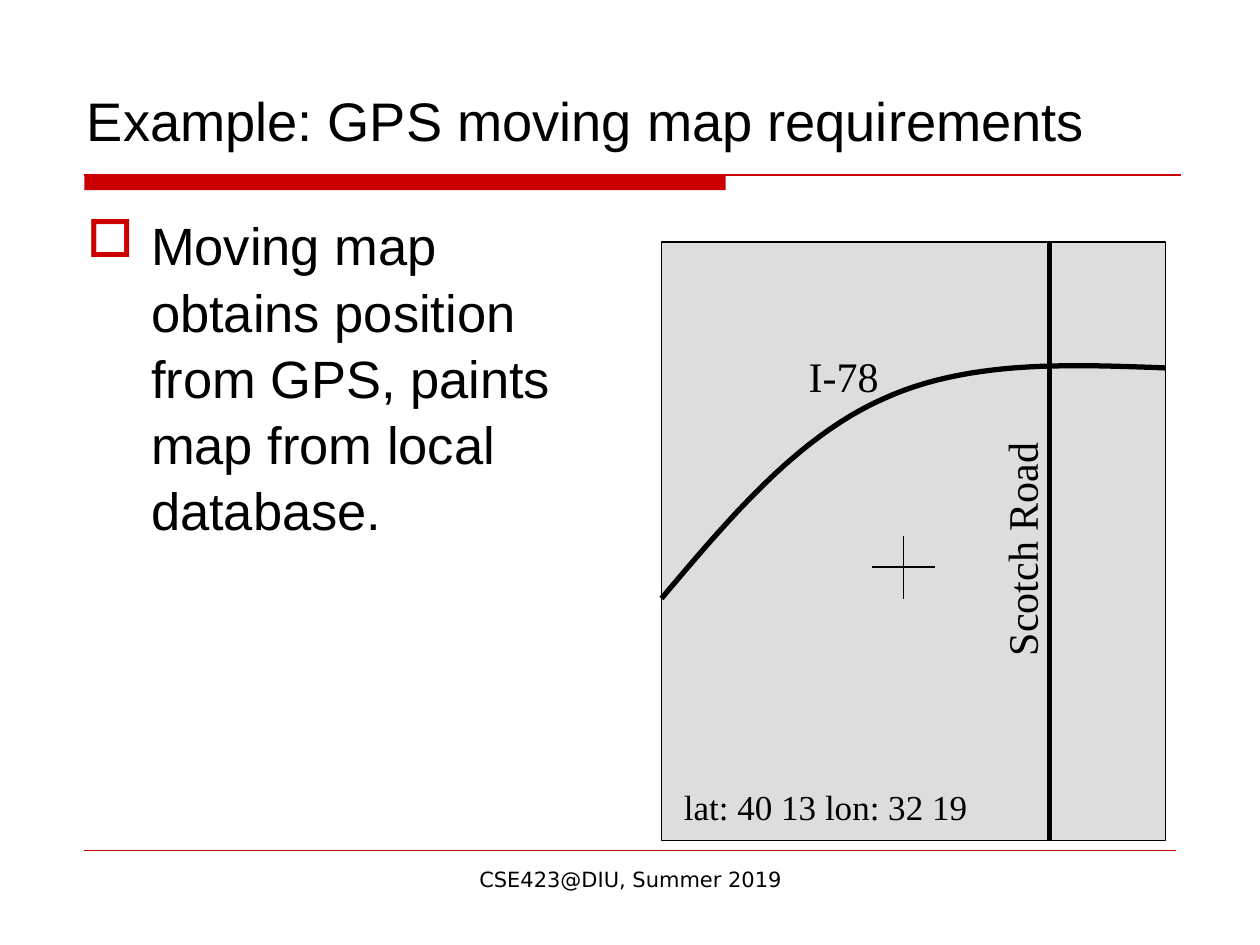
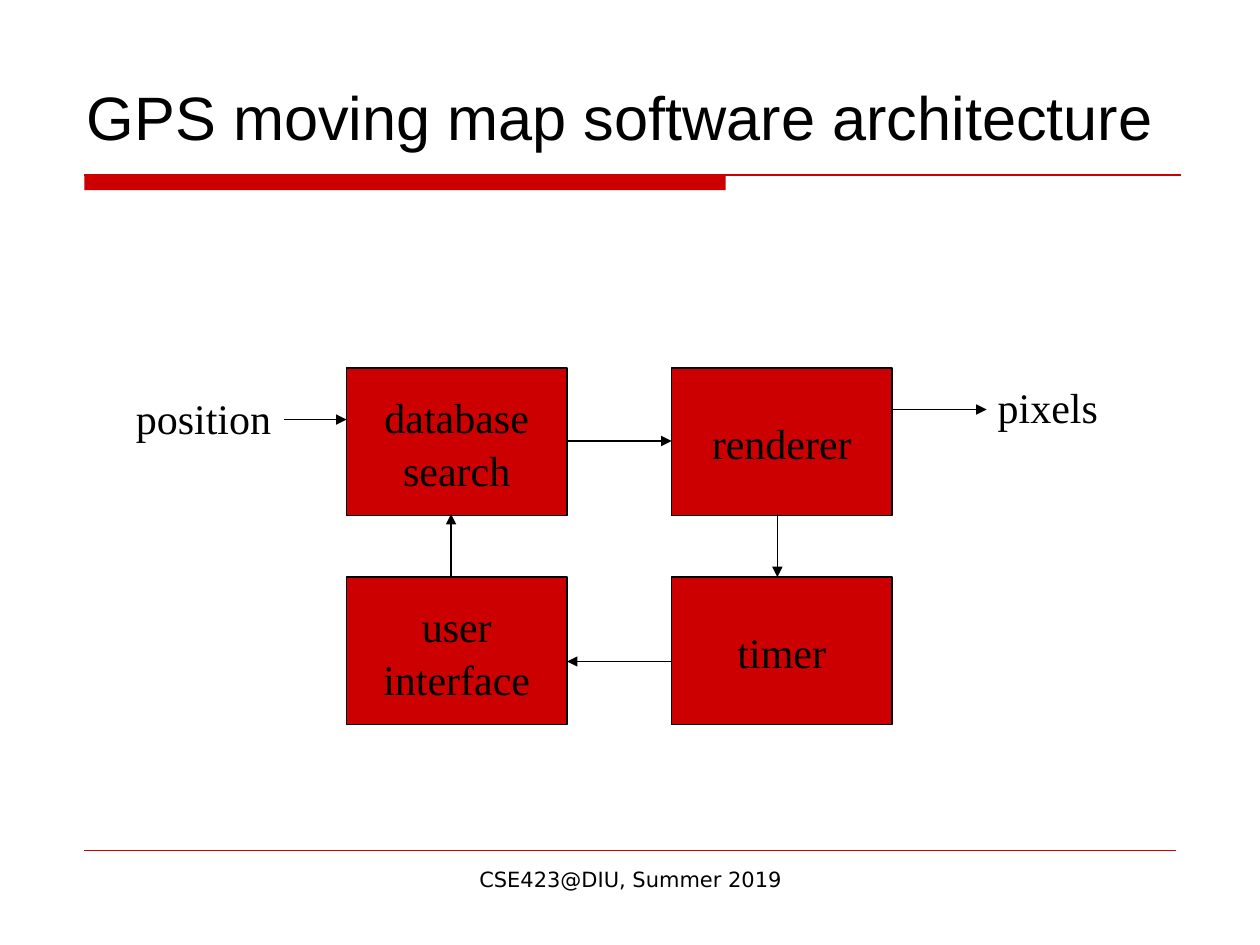
from lxml import etree
from pptx import Presentation
from pptx.dml.color import RGBColor
from pptx.enum.shapes import MSO_CONNECTOR, MSO_SHAPE
from pptx.enum.text import MSO_ANCHOR, MSO_AUTO_SIZE, PP_ALIGN
from pptx.oxml.ns import qn
from pptx.util import Inches, Pt

STRAIGHT = MSO_CONNECTOR.STRAIGHT
RECT = MSO_SHAPE.RECTANGLE
MIDDLE, BOTTOM = MSO_ANCHOR.MIDDLE, MSO_ANCHOR.BOTTOM
LEFT, CENTER = PP_ALIGN.LEFT, PP_ALIGN.CENTER
NO_FIT = MSO_AUTO_SIZE.NONE

HEX = {"red": "CC0000", "black": "000000", "grey": "DDDDDD"}
COLORS = {name: RGBColor.from_string(value) for name, value in HEX.items()}
SANS, SERIF, FOOTER_FONT = "Arial", "Times New Roman", "DejaVu Sans"


def write(tf, text, size, font=SERIF, align=LEFT, wrap=False, spacing=1.05):
    tf.text = text
    tf.word_wrap = wrap
    tf.auto_size = NO_FIT
    for p in tf.paragraphs:
        p.alignment = align
        p.line_spacing = spacing
        for r in p.runs:
            r.font.size = Pt(size)
            r.font.name = font
            r.font.color.rgb = COLORS["black"]


def add_line(s, x1, y1, x2, y2, width=0.75, color="black", arrow=False):
    cx = s.shapes.add_connector(STRAIGHT, Inches(x1), Inches(y1), Inches(x2), Inches(y2))
    cx.line.width = Pt(width)
    cx.line.color.rgb = COLORS[color]
    if arrow:
        etree.SubElement(cx.line._get_or_add_ln(), qn("a:tailEnd"), type="triangle")
    etree.SubElement(cx._element.spPr, qn("a:effectLst"))


prs = Presentation()
prs.slide_width, prs.slide_height = Inches(10), Inches(7.5)

titles = [
    ("Example: GPS moving map requirements", 31),
    ("GPS moving map software architecture", 35),
]
for title, size in titles:
    s = prs.slides.add_slide(prs.slide_layouts[5])
    band = s.shapes.add_shape(RECT, Inches(0.67), Inches(1.39), Inches(5.09), Inches(0.12))
    band.shadow.inherit = False
    band.fill.solid()
    band.fill.fore_color.rgb = COLORS["red"]
    band.line.fill.background()
    add_line(s, 0.67, 1.39, 9.37, 1.39, color="red")
    add_line(s, 0.67, 6.75, 9.33, 6.75, 0.25, "red")

    sp = s.shapes.title
    sp.left, sp.top, sp.width, sp.height = Inches(0.59), Inches(0.21), Inches(8.75), Inches(1.05)
    sp.text_frame.vertical_anchor = BOTTOM
    write(sp.text_frame, title, size, SANS, wrap=True, spacing=1)

    footer = s.shapes.add_textbox(Inches(3.42), Inches(6.83), Inches(3.17), Inches(0.52))
    write(footer.text_frame, "CSE423@DIU, Summer 2019", 12, FOOTER_FONT, CENTER, True, 1)

map_slide, flow_slide = prs.slides

s = map_slide
body = s.shapes.add_textbox(Inches(0.59), Inches(1.62), Inches(4.08), Inches(4.96))
tf = body.text_frame
write(tf, "Moving map obtains position from GPS, paints map from local database.", 30, SANS, wrap=True)
pPr = tf.paragraphs[0]._p.get_or_add_pPr()
pPr.set("marL", str(Inches(0.51)))
pPr.set("indent", str(Inches(-0.51)))
bullet_color = etree.SubElement(pPr, qn("a:buClr"))
etree.SubElement(bullet_color, qn("a:srgbClr"), val=HEX["red"])
etree.SubElement(pPr, qn("a:buChar"), char="□")

screen = s.shapes.add_shape(RECT, Inches(5.25), Inches(1.92), Inches(4), Inches(4.75))
screen.shadow.inherit = False
screen.fill.solid()
screen.fill.fore_color.rgb = COLORS["grey"]
screen.line.color.rgb = COLORS["black"]
screen.line.width = Pt(0.75)
add_line(s, 8.33, 1.92, 8.33, 6.67, 3)

highway_curves = [
    [(5.25, 4.75), (5.79, 4.11), (6.33, 3.47), (7, 3.17)],
    [(7, 3.17), (7.67, 2.86), (8.46, 2.89), (9.25, 2.92)],
]
STEPS = 24
points = []
for curve in highway_curves:
    for i in range(1, STEPS + 1):
        t = i / STEPS
        weights = [(1 - t) ** 3, 3 * t * (1 - t) ** 2, 3 * t ** 2 * (1 - t), t ** 3]
        points.append([Inches(sum(w * pt[axis] for w, pt in zip(weights, curve))) for axis in (0, 1)])
fb = s.shapes.build_freeform(Inches(5.25), Inches(4.75))
fb.add_line_segments(points, close=False)
highway = fb.convert_to_shape()
highway.shadow.inherit = False
highway.fill.background()
highway.line.color.rgb = COLORS["black"]
highway.line.width = Pt(3)

add_line(s, 7.17, 4.25, 7.17, 4.75)
add_line(s, 6.92, 4.5, 7.42, 4.5)

labels = [
    (map_slide, "lat: 40 13 lon: 32 19", 5.33, 6.17, 2.45, 0.44, 20, 0),
    (map_slide, "I-78", 6.32, 2.71, 0.75, 0.5, 24, 0),
    (map_slide, "Scotch Road", 7.14, 4.11, 1.89, 0.5, 24, 270),
    (flow_slide, "position", 0.98, 3.05, 1.27, 0.5, 24, 0),
    (flow_slide, "pixels", 7.82, 2.96, 0.99, 0.5, 24, 0),
]
for s, text, x, y, w, h, size, rotation in labels:
    label = s.shapes.add_textbox(Inches(x), Inches(y), Inches(w), Inches(h))
    label.rotation = rotation
    write(label.text_frame, text, size)

s = flow_slide
modules_grid = [["database\nsearch", "renderer"], ["user\ninterface", "timer"]]
for y, row in zip((2.92, 4.58), modules_grid):
    for x, text in zip((2.75, 5.33), row):
        sp = s.shapes.add_shape(RECT, Inches(x), Inches(y), Inches(1.75), Inches(1.17))
        sp.shadow.inherit = False
        sp.fill.solid()
        sp.fill.fore_color.rgb = COLORS["red"]
        sp.line.color.rgb = COLORS["black"]
        sp.line.width = Pt(0.75)
        sp.text_frame.vertical_anchor = MIDDLE
        write(sp.text_frame, text, 24, align=CENTER)

arrows = [
    (2.25, 3.33, 2.75, 3.33),
    (7.08, 3.25, 7.83, 3.25),
    (4.5, 3.5, 5.33, 3.5),
    (6.17, 4.08, 6.17, 4.58),
    (5.33, 5.25, 4.5, 5.25),
    (3.58, 4.58, 3.58, 4.08),
]
for ends in arrows:
    add_line(s, *ends, arrow=True)

prs.save("out.pptx")
